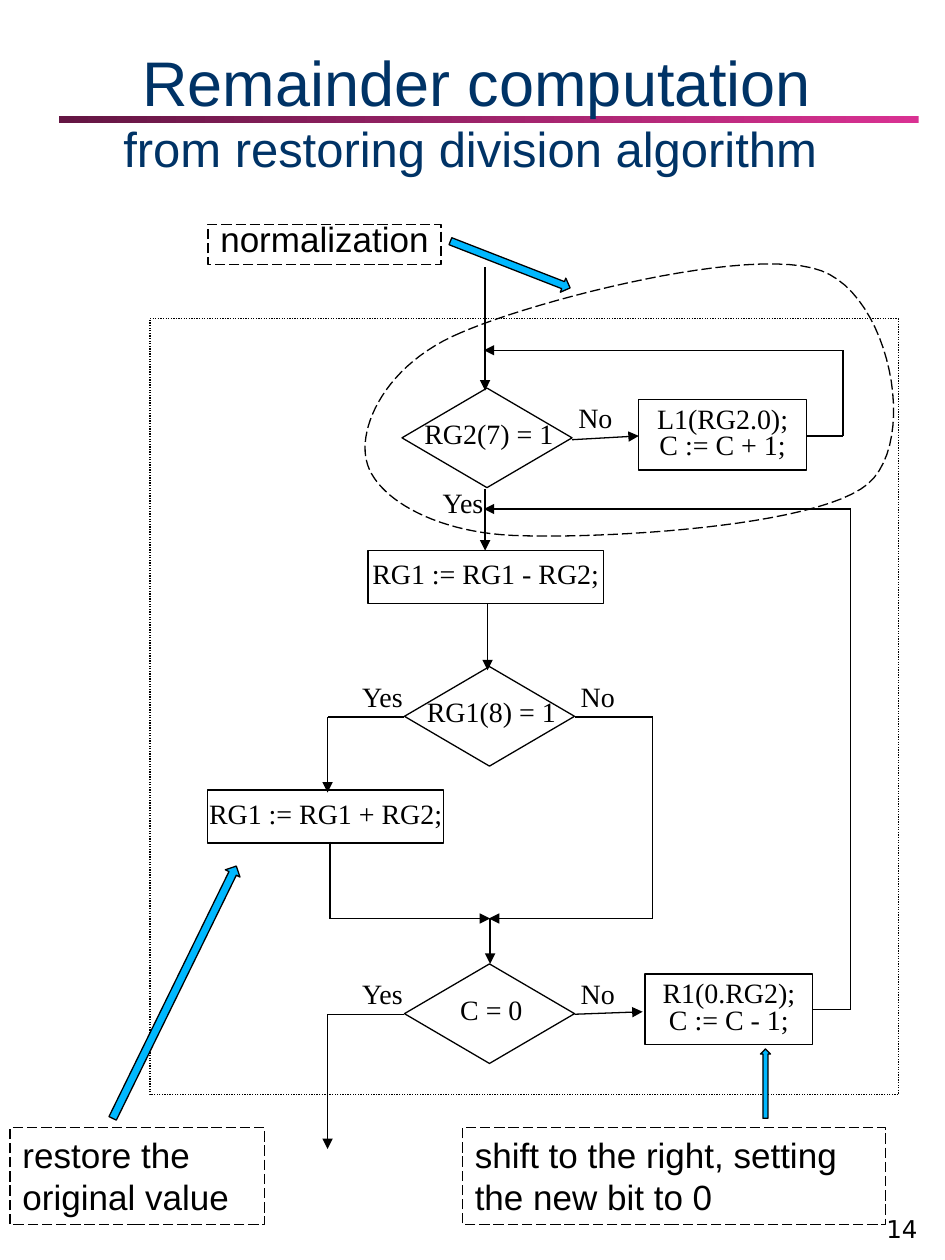
from lxml import etree
from pptx import Presentation
from pptx.dml.color import RGBColor
from pptx.enum.dml import MSO_LINE
from pptx.enum.shapes import MSO_CONNECTOR, MSO_SHAPE
from pptx.enum.text import MSO_ANCHOR, PP_ALIGN
from pptx.oxml.ns import qn
from pptx.util import Inches, Pt

RECT, DIAMOND, ARROW = MSO_SHAPE.RECTANGLE, MSO_SHAPE.DIAMOND, MSO_SHAPE.RIGHT_ARROW
STRAIGHT = MSO_CONNECTOR.STRAIGHT
DOT, DASH = MSO_LINE.ROUND_DOT, MSO_LINE.LONG_DASH
TOP, MIDDLE, BOTTOM = MSO_ANCHOR.TOP, MSO_ANCHOR.MIDDLE, MSO_ANCHOR.BOTTOM
LEFT, CENTER, RIGHT = PP_ALIGN.LEFT, PP_ALIGN.CENTER, PP_ALIGN.RIGHT
COLORS = {"ink": "000000", "title": "003366", "arrow": "00B8FF",
          "pink": "D93192", "plum": "641643"}
SERIF, SANS, NUMBER = "Times New Roman", "Arial", "DejaVu Sans"


def color(name):
    return RGBColor.from_string(COLORS[name])


def inches(*values):
    return [Inches(v) for v in values]


def write(shape, text, sizes, font=SANS, tint="ink", align=LEFT, anchor=TOP,
          pad=(0.1, 0.05), spacing=None, wrap=True):
    """Fill a shape with text; sizes holds one size for each run of a paragraph."""
    frame = shape.text_frame
    frame.text = text
    frame.word_wrap = wrap
    frame.vertical_anchor = anchor
    frame.margin_left = frame.margin_right = Inches(pad[0])
    frame.margin_top = frame.margin_bottom = Inches(pad[1])
    for para in frame.paragraphs:
        para.alignment = align
        if spacing:
            para.line_spacing = spacing
        for run, size in zip(para.runs, sizes):
            run.font.name = font
            run.font.size = Pt(size)
            run.font.color.rgb = color(tint)


def outline(shape, dash=None):
    """Leave a shape with only a thin line."""
    shape.shadow.inherit = False
    shape.fill.background()
    shape.line.color.rgb = color("ink")
    shape.line.width = Pt(0.75)
    if dash:
        shape.line.dash_style = dash
    return shape


def draw(slide, kind, box, dash=None):
    return outline(slide.shapes.add_shape(kind, *inches(*box)), dash)


def code(shape, text):
    write(shape, text, [16], SERIF, align=CENTER, anchor=MIDDLE,
          pad=(0, 0), spacing=0.78, wrap=False)


def label(slide, text, x, y, w=0.37, h=0.28):
    code(slide.shapes.add_textbox(*inches(x, y, w, h)), text)


def step(slide, text, x, y, w=1.87, h=0.42):
    code(draw(slide, RECT, (x, y, w, h)), text)


def choice(slide, text, x, y, yes=(-0.36, 0.12)):
    draw(slide, DIAMOND, (x, y, 1.35, 0.79))
    label(slide, text, x + 0.16, y + 0.22, 1.06, 0.33)
    label(slide, "Yes", x + yes[0], y + yes[1])
    label(slide, "No", x + 1.35, y + 0.12)


def route(slide, x, y, *points):
    """Join points, offset from x and y, and put an arrowhead on the last leg."""
    spots = [inches(x + dx, y + dy) for dx, dy in points]
    for start, end in zip(spots, spots[1:]):
        leg = slide.shapes.add_connector(STRAIGHT, *start, *end)
        leg.line.color.rgb = color("ink")
        leg.line.width = Pt(0.75)
        etree.SubElement(leg._element.spPr, qn("a:effectLst"))
    etree.SubElement(leg.line._get_or_add_ln(), qn("a:tailEnd"), type="triangle")


def block_arrow(slide, box, turn):
    arrow = draw(slide, ARROW, box)
    arrow.fill.solid()
    arrow.fill.fore_color.rgb = color("arrow")
    arrow.rotation = turn


def note(slide, text, box, **style):
    write(draw(slide, RECT, box, DASH), text, [20], **style)


def loop_ring(slide, x, y):
    """Dashed closed curve through cubic segments."""
    start = (2.47, 0.11)
    curves = [((1.87, 0.36), (1.65, 0.86), (1.72, 1.13)),
              ((1.78, 1.40), (2.22, 1.69), (2.88, 1.72)),
              ((3.54, 1.75), (5.29, 1.66), (5.70, 1.31)),
              ((6.10, 0.96), (5.87, -0.18), (5.33, -0.38)),
              ((4.78, -0.59), (3.07, -0.15), start)]
    points, first = [], start
    for a, b, last in curves:
        for i in range(1, 25):
            t = i / 24
            u = 1 - t
            points.append(inches(*(
                o + u**3 * p + 3 * u * u * t * q + 3 * u * t * t * r + t**3 * s
                for o, p, q, r, s in zip((x, y), first, a, b, last))))
        first = last
    pen = slide.shapes.build_freeform(*inches(x + start[0], y + start[1]))
    pen.add_line_segments(points, close=True)
    outline(pen.convert_to_shape(), DASH)


def header(slide, x, y, w):
    bar = slide.shapes.add_shape(RECT, *inches(x + 0.14, y + 0.29, w - 0.09, 0.06))
    bar.shadow.inherit = False
    bar.line.fill.background()
    bar.fill.gradient()
    bar.fill.gradient_angle = 180
    for stop, name in zip(bar.fill.gradient_stops, ("pink", "plum")):
        stop.color.rgb = color(name)
    title = slide.shapes.add_textbox(*inches(x, y, w, 0.83))
    write(title, "Remainder computation\vfrom restoring division algorithm ",
          [36, 28], tint="title", align=CENTER, anchor=BOTTOM)


def shift_loop(slide, x, y):
    route(slide, x, y, (2.66, -0.41), (2.66, 0.57))
    choice(slide, "RG2(7) = 1", x + 2, y + 0.55, yes=(0.3, 0.79))
    route(slide, x, y, (3.35, 0.96), (3.88, 0.93))
    step(slide, "L1(RG2.0);\nC := C + 1;", x + 3.88, y + 0.64, 1.33, 0.56)
    route(slide, x, y, (5.21, 0.93), (5.5, 0.93), (5.5, 0.25), (2.65, 0.25))
    route(slide, x, y, (2.66, 1.35), (2.66, 1.84))


def subtract(slide, x, y):
    step(slide, "RG1 := RG1 - RG2;", x + 1.73, y)
    route(slide, x, y, (2.68, 0.42), (2.68, 0.95))
    choice(slide, "RG1(8) = 1", x + 2.02, y + 0.92)
    route(slide, x, y, (2.02, 1.32), (1.41, 1.32), (1.41, 1.92))
    step(slide, "RG1 := RG1 + RG2;", x + 0.46, y + 1.9)
    route(slide, x, y, (1.43, 2.31), (1.43, 2.92), (2.7, 2.92))
    route(slide, x, y, (3.37, 1.32), (3.99, 1.32), (3.99, 2.92), (2.69, 2.92))


def count_down(slide, x, y):
    route(slide, x, y, (2.7, 0), (2.7, 0.36))
    choice(slide, "C = 0", x + 2.02, y + 0.36)
    route(slide, x, y, (3.37, 0.76), (3.91, 0.74))
    step(slide, "R1(0.RG2);\nC := C - 1;", x + 3.93, y + 0.44, 1.33, 0.56)
    route(slide, x, y, (5.26, 0.72), (5.56, 0.72), (5.56, -3.25), (2.65, -3.25))
    route(slide, x, y, (2.02, 0.76), (1.41, 0.76), (1.41, 1.83))


def flow(slide, x, y, w, h):
    draw(slide, RECT, (x, y, w, h), DOT)
    shift_loop(slide, x, y)
    subtract(slide, x, y + 1.84)
    count_down(slide, x, y + 4.76)
    loop_ring(slide, x, y)


def notes(slide, x, y):
    """Callouts around the flow chart whose corner is at x and y."""
    note(slide, "normalization", (x + 0.46, y - 0.75, 1.85, 0.32),
         spacing=0.64, wrap=False)
    block_arrow(slide, (x + 2.35, y - 0.49, 1.02, 0.12), 21.3)
    note(slide, "restore the original value", (x - 1.11, y + 6.42, 2.02, 0.77))
    block_arrow(slide, (x - 0.92, y + 5.28, 2.23, 0.13), 296.1)
    note(slide, "shift to the right, setting the new bit to 0",
         (x + 2.48, y + 6.42, 3.36, 0.77))
    block_arrow(slide, (x + 4.61, y + 6.03, 0.55, 0.08), 270)


def footer(slide, x, y, w, h):
    write(slide.shapes.add_textbox(*inches(x, y, w, h)), "14", [14], NUMBER,
          align=RIGHT, anchor=BOTTOM)


def main():
    deck = Presentation()
    deck.slide_width, deck.slide_height = inches(7.5, 10)
    slide = deck.slides.add_slide(deck.slide_layouts[6])
    header(slide, 0.33, 0.63, 6.91)
    flow(slide, 1.19, 2.53, 5.94, 6.16)
    notes(slide, 1.19, 2.53)
    footer(slide, 6.46, 9.49, 0.92, 0.43)
    deck.save("out.pptx")


if __name__ == "__main__":
    main()
